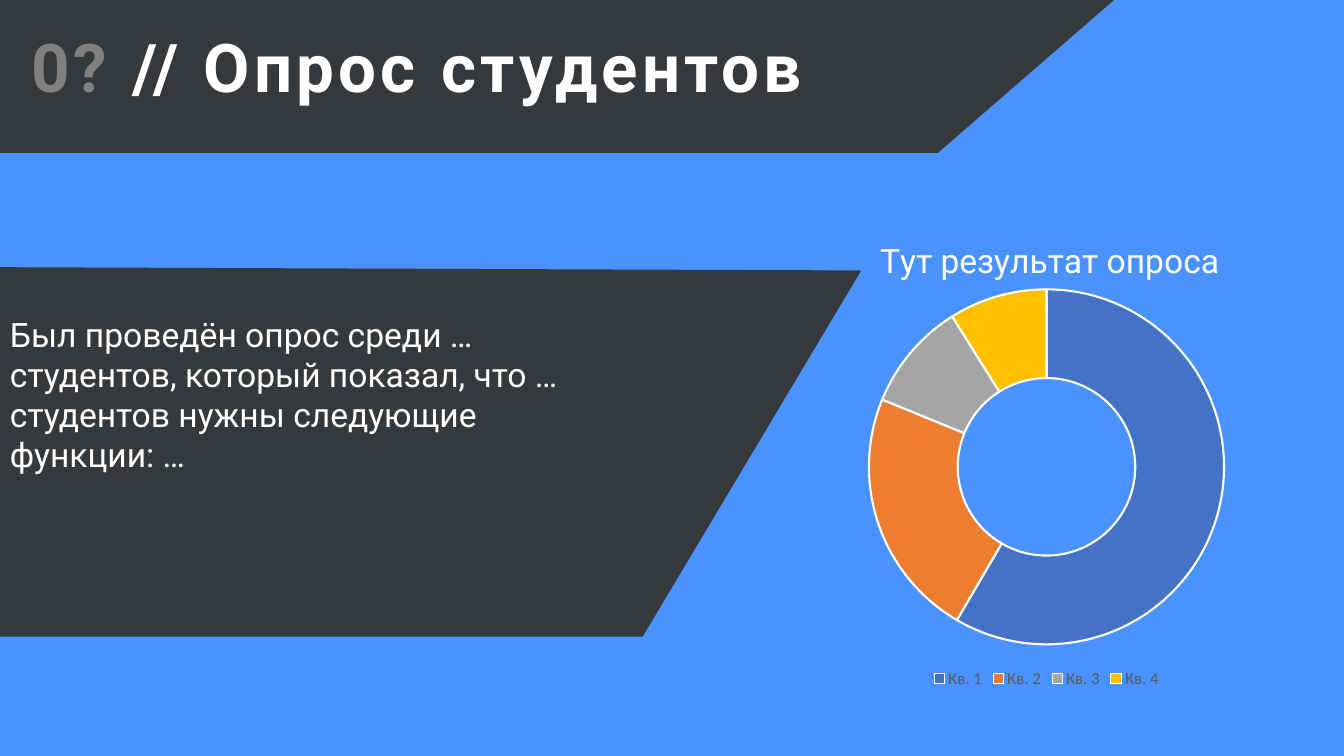
from dataclasses import dataclass

from lxml import etree
from pptx import Presentation
from pptx.chart.data import CategoryChartData
from pptx.dml.color import RGBColor
from pptx.enum.chart import XL_CHART_TYPE as ChartType, XL_LEGEND_POSITION as LegendPosition
from pptx.enum.shapes import MSO_SHAPE as Preset
from pptx.enum.text import MSO_ANCHOR as Anchor, MSO_AUTO_SIZE as AutoSize, PP_ALIGN as Align
from pptx.oxml.ns import qn
from pptx.util import Inches, Pt


@dataclass(frozen=True)
class Theme:
    blue: str = "4A92FE"
    dark: str = "36393B"
    grey: str = "808080"
    white: str = "FFFFFF"
    legend: str = "595959"
    font: str = "Roboto"
    legend_font: str = "Calibri"
    title_size: int = 48
    text_size: int = 24
    legend_size: int = 12


@dataclass(frozen=True)
class Panel:
    points: tuple[tuple[float, float], ...]


@dataclass(frozen=True)
class Slice:
    label: str
    value: int
    color: str


THEME = Theme()
PANELS = (
    Panel(((-0.69, 1.51), (-0.1, -0.09), (11.12, -0.07), (9.3, 1.51))),
    Panel(((-5.4, 6.31), (-4.71, 2.64), (8.53, 2.69), (6.37, 6.31))),
)
SLICES = (
    Slice("Кв. 1", 59, "4472C4"),
    Slice("Кв. 2", 23, "ED7D31"),
    Slice("Кв. 3", 10, "A5A5A5"),
    Slice("Кв. 4", 9, "FFC000"),
)


def rgb(color: str) -> RGBColor:
    return RGBColor.from_string(color)


def paint(shape, color: str) -> None:
    shape.shadow.inherit = False
    shape.fill.solid()
    shape.fill.fore_color.rgb = rgb(color)
    shape.line.color.rgb = rgb(color)
    shape.line.width = Pt(1)


def style_font(font, *, size: int, color: str, name: str = THEME.font, bold: bool = False) -> None:
    font.name = name
    font.size = Pt(size)
    font.bold = bold
    font.color.rgb = rgb(color)


def add_run(paragraph, text: str, *, spacing: float = 0, **style) -> None:
    run = paragraph.add_run()
    run.text = text
    style_font(run.font, **style)
    if spacing:
        run.font._element.set("spc", str(int(spacing * 100)))


def prepare_frame(shape) -> None:
    frame = shape.text_frame
    frame.word_wrap = True
    frame.auto_size = AutoSize.NONE
    frame.vertical_anchor = Anchor.TOP
    frame.paragraphs[0].alignment = Align.LEFT


def place(shape, left: float, top: float, width: float, height: float) -> None:
    shape.left, shape.top = Inches(left), Inches(top)
    shape.width, shape.height = Inches(width), Inches(height)


def add_panel(slide, panel: Panel) -> None:
    start, *corners = [(Inches(x), Inches(y)) for x, y in panel.points]
    builder = slide.shapes.build_freeform(*start)
    builder.add_line_segments(corners, close=True)
    paint(builder.convert_to_shape(), THEME.dark)


def set_layout(element, position: int, **settings) -> None:
    layout = element.find(qn("c:layout"))
    if layout is None:
        layout = etree.Element(qn("c:layout"))
        element.insert(position, layout)
    manual = etree.SubElement(layout, qn("c:manualLayout"))
    for name, value in settings.items():
        etree.SubElement(manual, qn(f"c:{name}")).set("val", str(value))


def add_survey_chart(slide) -> None:
    data = CategoryChartData()
    data.categories = [item.label for item in SLICES]
    data.add_series("Series 1", [item.value for item in SLICES])
    frame = slide.shapes.add_chart(
        ChartType.DOUGHNUT, Inches(7.43), Inches(2.11), Inches(5.9), Inches(4.76), data
    )
    chart = frame.chart
    style_font(chart.font, size=THEME.legend_size, color=THEME.legend, name=THEME.legend_font)

    chart.has_title = True
    paragraph = chart.chart_title.text_frame.paragraphs[0]
    add_run(paragraph, "Тут результат опроса", size=THEME.text_size, color=THEME.white)
    set_layout(chart.chart_title._element, 1, xMode="edge", yMode="edge", x=0.21, y=0.04)

    chart.has_legend = True
    chart.legend.position = LegendPosition.BOTTOM
    chart.legend.include_in_layout = False
    style_font(
        chart.legend.font, size=THEME.legend_size, color=THEME.legend, name=THEME.legend_font
    )

    plot = chart.plots[0]
    plot.vary_by_categories = True
    plot._element.find(qn("c:holeSize")).set("val", "75")
    set_layout(
        plot._element.getparent(), 0, layoutTarget="inner",
        xMode="edge", yMode="edge", x=0.2, y=0.16, w=0.6, h=0.74,
    )
    for index, item in enumerate(SLICES):
        point_format = plot.series[0].points[index].format
        point_format.fill.solid()
        point_format.fill.fore_color.rgb = rgb(item.color)
        point_format.line.color.rgb = rgb(THEME.white)
        point_format.line.width = Pt(1.5)


def add_title(slide) -> None:
    title = slide.shapes.title
    slide.shapes._spTree.append(title._element)
    place(title, 0.21, 0.2, 9.61, 0.91)
    prepare_frame(title)
    paragraph = title.text_frame.paragraphs[0]
    for text, color in (("0? ", THEME.grey), ("// Опрос студентов", THEME.white)):
        add_run(paragraph, text, size=THEME.title_size, color=color, bold=True, spacing=3)


def add_summary(slide) -> None:
    box = slide.shapes.add_textbox(Inches(0), Inches(3.06), Inches(6.29), Inches(1.72))
    prepare_frame(box)
    add_run(
        box.text_frame.paragraphs[0],
        "Был проведён опрос среди … студентов, который показал, "
        "что … студентов нужны следующие функции: …",
        size=THEME.text_size,
        color=THEME.white,
    )


def main() -> None:
    presentation = Presentation()
    presentation.slide_width, presentation.slide_height = Inches(13.33), Inches(7.5)
    slide = presentation.slides.add_slide(presentation.slide_layouts[5])
    backdrop = slide.shapes.add_shape(
        Preset.RECTANGLE, Inches(-0.31), Inches(0), Inches(13.65), Inches(7.81)
    )
    paint(backdrop, THEME.blue)
    for panel in PANELS:
        add_panel(slide, panel)
    add_survey_chart(slide)
    add_title(slide)
    add_summary(slide)
    presentation.save("out.pptx")


if __name__ == "__main__":
    main()
